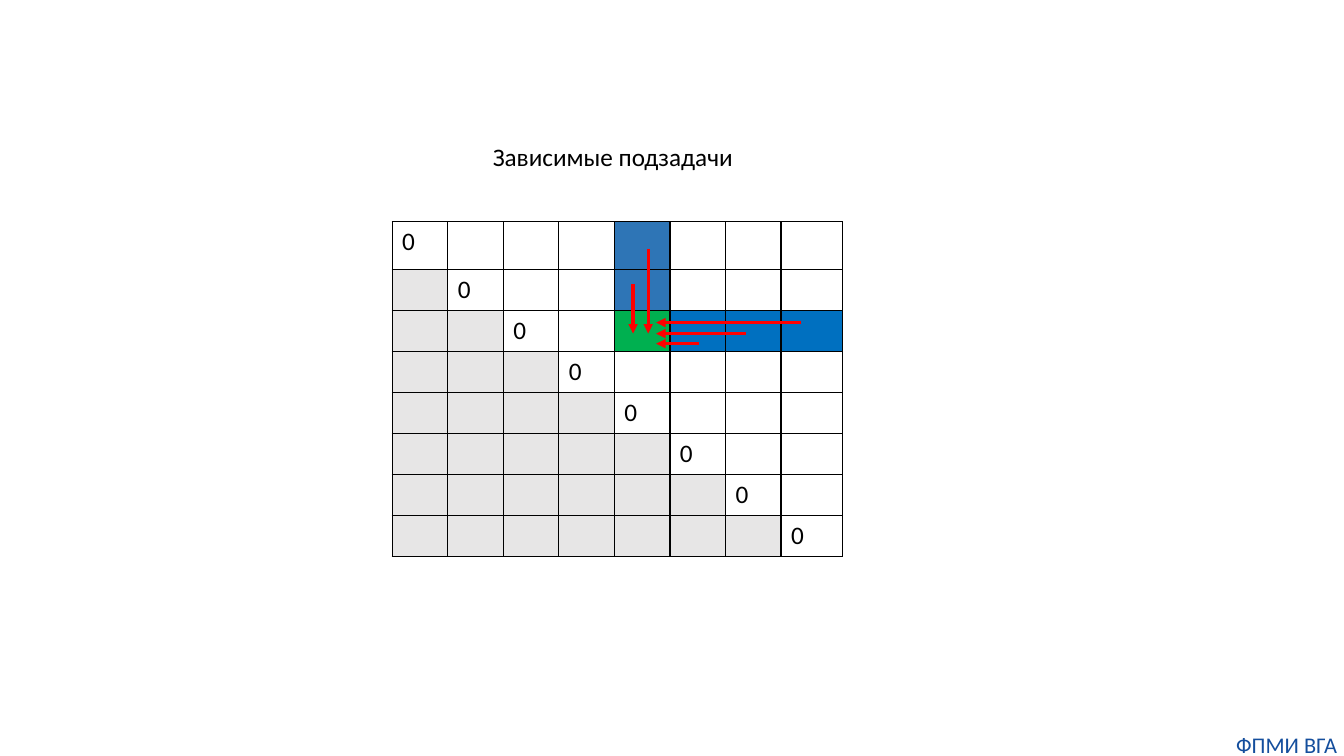
from lxml.etree import SubElement
from pptx import Presentation
from pptx.dml.color import RGBColor
from pptx.enum.shapes import MSO_CONNECTOR
from pptx.enum.text import MSO_AUTO_SIZE, PP_ALIGN
from pptx.oxml.ns import qn
from pptx.util import Pt

BLACK = RGBColor(0x00, 0x00, 0x00)
WHITE = RGBColor(0xFF, 0xFF, 0xFF)
GREY = RGBColor(0xE7, 0xE6, 0xE6)
STEEL = RGBColor(0x2E, 0x75, 0xB6)
BLUE = RGBColor(0x00, 0x70, 0xC0)
GREEN = RGBColor(0x00, 0xB0, 0x50)
RED = RGBColor(0xFF, 0x00, 0x00)
NAVY = RGBColor(0x14, 0x4E, 0x9D)
FONT = "Calibri"

# Content: the subproblem at (row, column) depends on cells above and to the right
TITLE = "Зависимые подзадачи"
FOOTER = "ФПМИ ВГА"
DIAGONAL = "0"
SIZE = 8
TARGET_ROW, TARGET_COLUMN = 2, 4

# Layout in points
GRID_LEFT, GRID_TOP = 280.1, 158.4
COLUMN_WIDTHS = [39.7] * (SIZE - 1) + [43.9]
ROW_HEIGHTS = [34.2] + [29.27] * (SIZE - 1)
DOWN_END, LEFT_END = 238.3, 468.7
DOWN_ARROWS = [(452.2, 203), (463, 177.8)]  # x, start y
LEFT_ARROWS = [(245.5, 499), (238.3, 532.8), (230.4, 572.4)]  # y, start x


def cell_color(row, column):
    if (row, column) == (TARGET_ROW, TARGET_COLUMN):
        return GREEN
    if column == TARGET_COLUMN and row < TARGET_ROW:
        return STEEL
    if row == TARGET_ROW and column > TARGET_COLUMN:
        return BLUE
    return GREY if column < row else WHITE


def style(paragraph, size, color):
    paragraph.font.name = FONT
    paragraph.font.size = Pt(size)
    paragraph.font.color.rgb = color


def add_borders(cell):
    properties = cell._tc.get_or_add_tcPr()
    for index, side in enumerate(("a:lnL", "a:lnR", "a:lnT", "a:lnB")):
        border = properties.makeelement(qn(side), {"w": str(Pt(1))})
        fill = SubElement(border, qn("a:solidFill"))
        SubElement(fill, qn("a:srgbClr"), val=str(BLACK))
        properties.insert(index, border)


def add_arrow(slide, *ends):
    arrow = slide.shapes.add_connector(MSO_CONNECTOR.STRAIGHT, *map(Pt, ends))
    arrow.line.color.rgb = RED
    arrow.line.width = Pt(2.25)
    SubElement(arrow.line._get_or_add_ln(), qn("a:tailEnd"), type="triangle")
    SubElement(arrow._element.spPr, qn("a:effectLst"))


def add_label(slide, text, box, size, color):
    frame = slide.shapes.add_textbox(*map(Pt, box)).text_frame
    frame.text = text
    style(frame.paragraphs[0], size, color)
    frame.auto_size = MSO_AUTO_SIZE.SHAPE_TO_FIT_TEXT
    return frame


deck = Presentation()
deck.slide_width, deck.slide_height = Pt(960), Pt(540)
slide = deck.slides.add_slide(deck.slide_layouts[6])

# Grid of subproblems
grid = slide.shapes.add_table(
    SIZE, SIZE, Pt(GRID_LEFT), Pt(GRID_TOP),
    Pt(sum(COLUMN_WIDTHS)), Pt(sum(ROW_HEIGHTS))).table
grid.first_row = grid.horz_banding = False
for column, width in zip(grid.columns, COLUMN_WIDTHS):
    column.width = Pt(width)
for row, height in zip(grid.rows, ROW_HEIGHTS):
    row.height = Pt(height)
for row in range(SIZE):
    for column in range(SIZE):
        cell = grid.cell(row, column)
        cell.fill.solid()
        cell.fill.fore_color.rgb = cell_color(row, column)
        add_borders(cell)
        if row == column:
            cell.text = DIAGONAL
            style(cell.text_frame.paragraphs[0], 18, BLACK)

# Dependency arrows
for x, start in DOWN_ARROWS:
    add_arrow(slide, x, start, x, DOWN_END)
for y, start in LEFT_ARROWS:
    add_arrow(slide, start, y, LEFT_END, y)

# Title and footer
title = add_label(slide, TITLE, (344.9, 97.2, 187.9, 29), 18, BLACK)
title.word_wrap = False
footer = add_label(slide, FOOTER, (878.4, 522, 81.4, 19.4), 16, NAVY)
footer.word_wrap = True
footer.margin_left = footer.margin_right = 0
footer.margin_top = footer.margin_bottom = 0
footer.paragraphs[0].alignment = PP_ALIGN.CENTER

deck.save("out.pptx")
